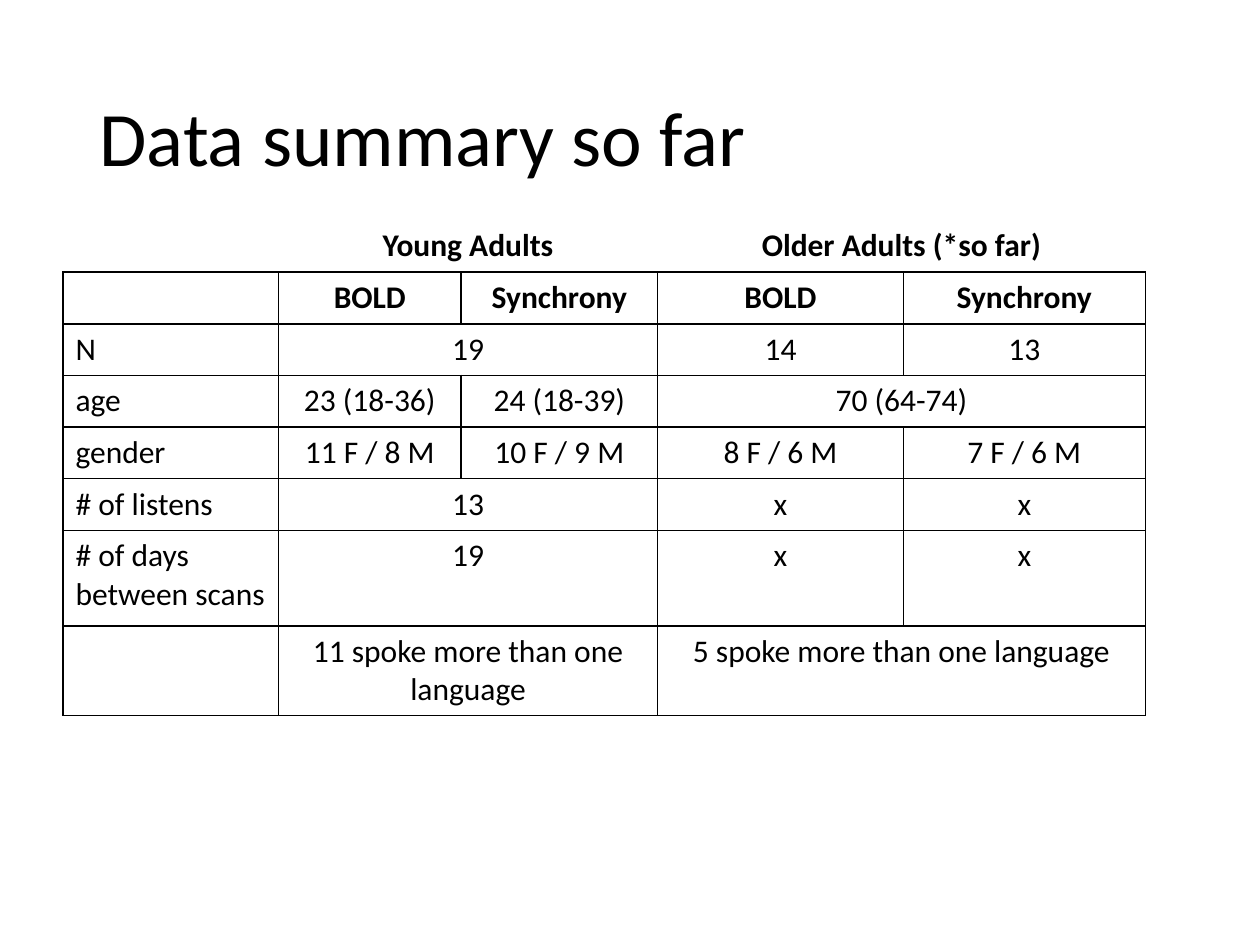
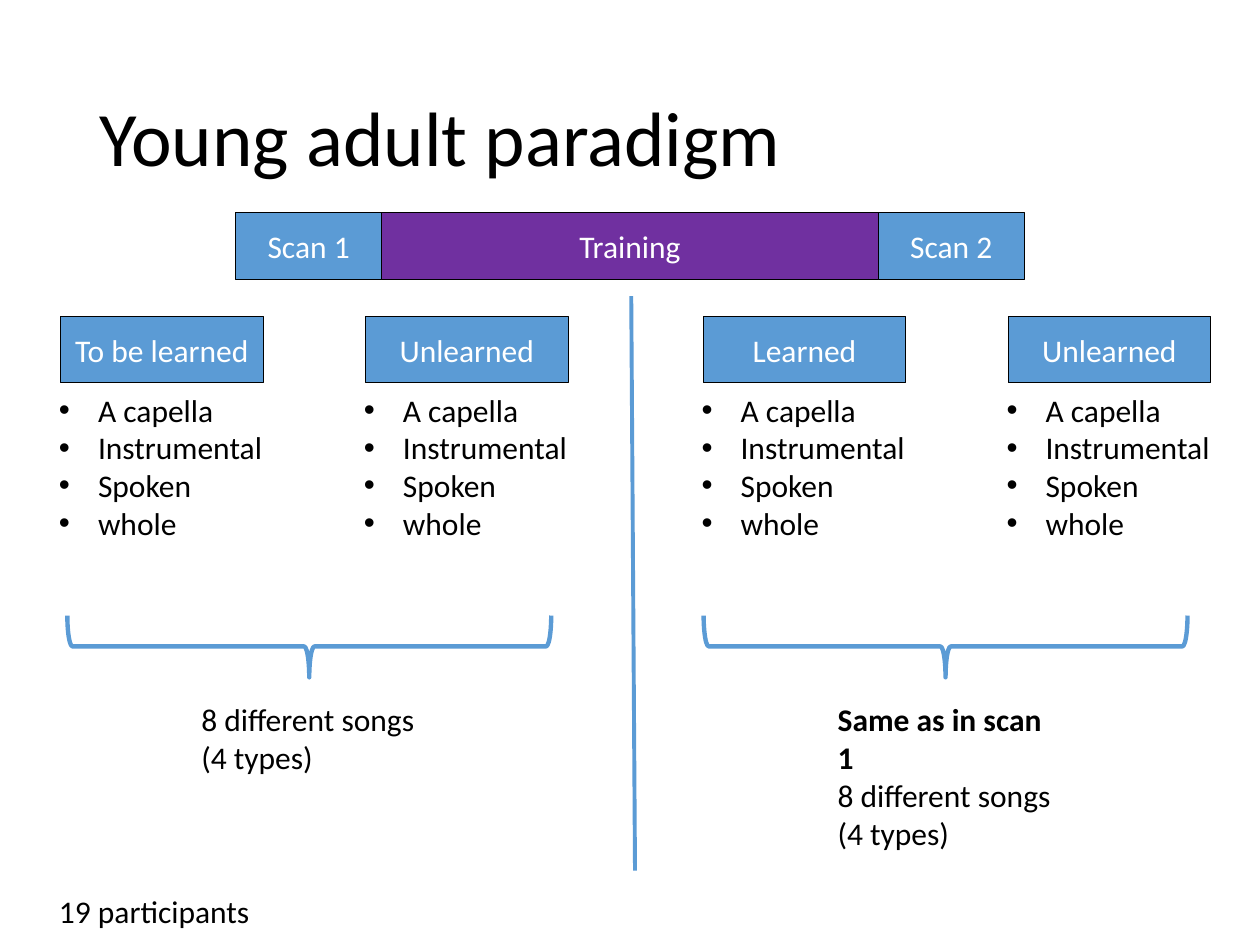
import pptx
import pptx.util
import pptx.dml.color
import pptx.enum.shapes
import pptx.enum.text
import pptx.oxml
import pptx.oxml.ns
import lxml.etree

Inches, Pt = pptx.util.Inches, pptx.util.Pt
SHAPES = pptx.enum.shapes.MSO_SHAPE
ALIGN = pptx.enum.text.PP_ALIGN
ANCHOR = pptx.enum.text.MSO_ANCHOR
FIT = pptx.enum.text.MSO_AUTO_SIZE

# Shared look
COLORS = {"paper": "FFFFFF", "ink": "000000", "scan": "5B9BD5", "training": "7030A0"}
FONT = "Calibri"
TITLE_AREA = (0.69, 0.4, 8.62, 1.45)

# Slide 1 content: None continues the cell to its left
SUMMARY_TITLE = "Data summary so far"
SUMMARY = [
    ["", "Young Adults", None, "Older Adults (*so far)", None],
    ["", "BOLD", "Synchrony", "BOLD", "Synchrony"],
    ["N", "19", None, "14", "13"],
    ["age", "23 (18-36)", "24 (18-39)", "70 (64-74)", None],
    ["gender", "11 F / 8 M", "10 F / 9 M", "8 F / 6 M", "7 F / 6 M"],
    ["# of listens", "13", None, "x", "x"],
    ["# of days between scans", "19", None, "x", "x"],
    ["", "11 spoke more than one language", None, "5 spoke more than one language", None],
]
HEADER_ROWS = 2
COLUMN_WIDTHS = [1.71, 1.45, 1.56, 1.95, 1.92]
ROW_HEIGHTS = [0.41] * 6 + [0.76, 0.71]

# Slide 2 content
PARADIGM_TITLE = "Young adult paradigm"
TIMELINE = [("Scan 1", 1.16, "scan"), ("Training", 3.94, "training"), ("Scan 2", 1.16, "scan")]
SONG_TYPES = ["A capella", "Instrumental", "Spoken", "whole"]
SONG_COUNT = ["8 different songs", "(4 types)"]
SCANS = [
    {"conditions": ["To be learned", "Unlearned"], "note": SONG_COUNT, "bold_lines": 0},
    {"conditions": ["Learned", "Unlearned"], "note": ["Same as in scan 1"] + SONG_COUNT, "bold_lines": 1},
]
PARTICIPANTS = "19 participants"

# Slide 2 grid
BOX_HEIGHT = 0.53
TIMELINE_LEFT, TIMELINE_TOP = 1.87, 1.69
CONDITION_LEFT, CONDITION_TOP, CONDITION_WIDTH = 0.48, 2.51, 1.61
CONDITION_STEP, SCAN_STEP, NOTE_STEP = 2.42, 5.1, 5.05
LIST_LEFT = CONDITION_LEFT - 0.11


def rgb(name):
    return pptx.dml.color.RGBColor.from_string(COLORS[name])


def inches(*lengths):
    return [Inches(length) for length in lengths]


def write(frame, lines, size=18, color="ink", align=ALIGN.LEFT, bold_lines=0,
          bullet=False, spacing=None):
    """Fill a text frame with one paragraph per line."""
    for index, line in enumerate(lines):
        para = frame.paragraphs[0] if index == 0 else frame.add_paragraph()
        para.alignment = align
        if spacing:
            para.line_spacing = spacing
        span = para.add_run()
        span.text = line
        span.font.name, span.font.size = FONT, Pt(size)
        span.font.bold = index < bold_lines
        span.font.color.rgb = rgb(color)
        if bullet:
            props = para._p.get_or_add_pPr()
            props.set("marL", str(Inches(0.31)))
            props.set("indent", str(-Inches(0.31)))
            for tag, name, value in (("buFont", "typeface", "Arial"), ("buChar", "char", "•")):
                mark = lxml.etree.SubElement(props, pptx.oxml.ns.qn("a:" + tag))
                mark.set(name, value)


def add_page(deck, title):
    page = deck.slides.add_slide(deck.slide_layouts[5])
    page.background.fill.solid()
    page.background.fill.fore_color.rgb = rgb("paper")
    heading = page.shapes.title
    heading.left, heading.top, heading.width, heading.height = inches(*TITLE_AREA)
    frame = heading.text_frame
    frame.word_wrap, frame.auto_size = True, FIT.NONE
    frame.vertical_anchor = ANCHOR.MIDDLE
    write(frame, [title], size=44, spacing=0.9)
    return page


def add_box(page, text, left, top, width, color):
    box = page.shapes.add_shape(SHAPES.RECTANGLE, *inches(left, top, width, BOX_HEIGHT))
    box.shadow.inherit = False
    box.fill.solid()
    box.fill.fore_color.rgb = rgb(color)
    box.line.color.rgb, box.line.width = rgb("ink"), Pt(0.5)
    box.text_frame.vertical_anchor = ANCHOR.MIDDLE
    write(box.text_frame, [text], color="paper", align=ALIGN.CENTER)


def add_text(page, lines, left, top, width, height, **text_format):
    box = page.shapes.add_textbox(*inches(left, top, width, height))
    box.text_frame.word_wrap = False
    box.text_frame.auto_size = FIT.SHAPE_TO_FIT_TEXT
    write(box.text_frame, lines, **text_format)


def set_borders(cell, drawn_sides):
    props = cell._tc.get_or_add_tcPr()
    for side in "LRTB":
        fill = (f'<a:solidFill><a:srgbClr val="{COLORS["ink"]}"/></a:solidFill>'
                if side in drawn_sides else "<a:noFill/>")
        props.append(pptx.oxml.parse_xml(
            f'<a:ln{side} {pptx.oxml.ns.nsdecls("a")} w="{Pt(1)}">{fill}</a:ln{side}>'))


def build_summary(deck):
    page = add_page(deck, SUMMARY_TITLE)
    holder = page.shapes.add_table(
        len(SUMMARY), len(COLUMN_WIDTHS),
        *inches(0.5, 1.75, sum(COLUMN_WIDTHS), sum(ROW_HEIGHTS)))
    table = holder.table
    table.first_row = table.horz_banding = False
    for column, width in zip(table.columns, COLUMN_WIDTHS):
        column.width = Inches(width)
    for row, height in zip(table.rows, ROW_HEIGHTS):
        row.height = Inches(height)

    for r, values in enumerate(SUMMARY):
        for c, value in enumerate(values):
            cell = table.cell(r, c)
            set_borders(cell, "LRTB" if r else "B")
            cell.fill.background()
            if value is None:
                table.cell(r, c - 1).merge(cell)
            elif value:
                write(cell.text_frame, [value], bold_lines=int(r < HEADER_ROWS),
                      align=ALIGN.CENTER if c else ALIGN.LEFT)


def build_paradigm(deck):
    page = add_page(deck, PARADIGM_TITLE)

    # Timeline
    left = TIMELINE_LEFT
    for text, width, color in TIMELINE:
        add_box(page, text, left, TIMELINE_TOP, width, color)
        left += width

    # Conditions, brace and note of each scan
    for s, scan in enumerate(SCANS):
        for c, condition in enumerate(scan["conditions"]):
            shift = s * SCAN_STEP + c * CONDITION_STEP
            add_box(page, condition, CONDITION_LEFT + shift, CONDITION_TOP, CONDITION_WIDTH, "scan")
            add_text(page, SONG_TYPES, LIST_LEFT + shift, 3.05, 1.83, 1.31, bullet=True)
        shift = s * NOTE_STEP
        brace = page.shapes.add_shape(SHAPES.LEFT_BRACE, *inches(2.21 + shift, 3.21, 0.49, 3.84))
        brace.rotation = 270
        brace.shadow.inherit = False
        brace.fill.background()
        brace.line.color.rgb, brace.line.width = rgb("scan"), Pt(2.5)
        add_text(page, scan["note"], 1.5 + shift, 5.51, 1.97, 0.1 + 0.3 * len(scan["note"]),
                 bold_lines=scan["bold_lines"])

    # Divider between the scans
    divider = page.shapes.add_connector(
        pptx.enum.shapes.MSO_CONNECTOR.STRAIGHT, *inches(5.01, 2.35, 5.04, 6.91))
    divider.line.color.rgb, divider.line.width = rgb("scan"), Pt(2.25)
    lxml.etree.SubElement(divider._element.spPr, pptx.oxml.ns.qn("a:effectLst"))

    add_text(page, [PARTICIPANTS], LIST_LEFT, 7.03, 1.73, 0.4)


def main():
    deck = pptx.Presentation()
    deck.slide_width, deck.slide_height = inches(10, 7.5)
    build_summary(deck)
    build_paradigm(deck)
    deck.save("out.pptx")


if __name__ == "__main__":
    main()
